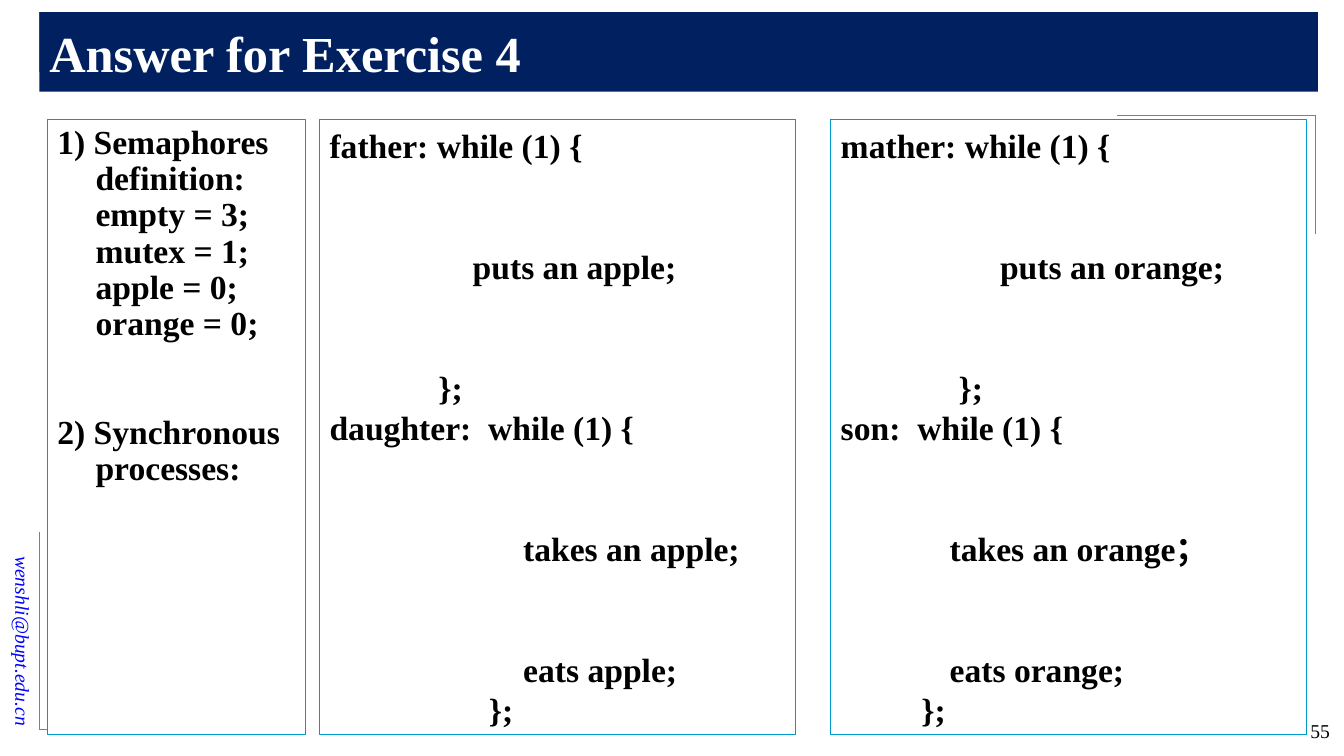
from typing import NamedTuple

from lxml import etree
from pptx import Presentation
from pptx import util as u
from pptx.dml.color import RGBColor
from pptx.enum import shapes, text
from pptx.oxml.ns import qn

NAVY = RGBColor(0x00, 0x20, 0x60)
BLUE = RGBColor(0x00, 0x00, 0xFF)
TEAL = RGBColor(0x00, 0x99, 0xCC)
GREY = RGBColor(0x80, 0x80, 0x80)
BLACK = RGBColor(0x00, 0x00, 0x00)
WHITE = RGBColor(0xFF, 0xFF, 0xFF)

FONT = "Times New Roman"
HANG = 0.38
PANEL_TOP, PANEL_HEIGHT = 1.19, 6.1


class Corner(NamedTuple):
    """Two thin lines that meet at (x, y), with signed lengths."""
    x: float
    y: float
    across: float
    down: float


class Line(NamedTuple):
    text: str
    indent: float = 0
    hanging: bool = False
    skip: int = 0  # empty lines above


class Panel(NamedTuple):
    left: float
    width: float
    pitch: float  # line pitch in points
    lines: list[Line]


def process(head: str, body: list[str], body_indent: float, end_indent: float,
            skips: tuple[int, int]) -> list[Line]:
    """One process loop: head, steps and closing brace; skips are (step, brace)."""
    steps = [Line(step, body_indent, skip=skips[0]) for step in body]
    return [Line(head), *steps, Line("};", end_indent, skip=skips[1])]


CORNERS = [
    Corner(0.39, 0.12, 1.97, 0.59),
    Corner(0.39, 7.24, 1.18, -1.96),
    Corner(13.05, 1.14, -1.97, 1.18),
]

PANELS = [
    Panel(0.47, 2.56, 25.9, [
        Line("1) Semaphores definition:", HANG, hanging=True),
        Line("empty = 3;", HANG),
        Line("mutex = 1;", HANG),
        Line("apple = 0;", HANG),
        Line("orange = 0;", HANG),
        Line("2) Synchronous processes:", HANG, hanging=True, skip=2),
    ]),
    Panel(8.24, 4.72, 28.8, [
        *process("mather: while (1) {", ["puts an orange;"], 1.58, 1.17, (2, 2)),
        *process("son:  while (1) {", ["takes an orange；", "eats orange;"],
                 1.08, 0.8, (2, 0)),
    ]),
    Panel(3.17, 4.72, 28.8, [
        *process("father: while (1) {", ["puts an apple;"], 1.42, 1.08, (2, 2)),
        *process("daughter:  while (1) {", ["takes an apple;", "eats apple;"],
                 1.92, 1.58, (2, 0)),
    ]),
]


def style(p, size: float, color: RGBColor, bold: bool = False, italic: bool = False) -> None:
    f = p.font
    f.name, f.size, f.bold, f.italic = FONT, u.Pt(size), bold, italic
    f.color.rgb = color


def add_rect(s, left: float, top: float, width: float, height: float, fill: RGBColor):
    sp = s.shapes.add_shape(shapes.MSO_SHAPE.RECTANGLE, u.Inches(left), u.Inches(top),
                            u.Inches(width), u.Inches(height))
    sp.shadow.inherit = False
    sp.fill.solid()
    sp.fill.fore_color.rgb = fill
    sp.line.fill.background()
    sp.text_frame.word_wrap = True
    return sp


def add_corner(s, c: Corner) -> None:
    for dx, dy in ((c.across, 0), (0, c.down)):
        line = s.shapes.add_connector(shapes.MSO_CONNECTOR.STRAIGHT, u.Inches(c.x), u.Inches(c.y),
                                      u.Inches(c.x + dx), u.Inches(c.y + dy))
        line.line.color.rgb = GREY
        line.line.width = u.Pt(0.5)
        etree.SubElement(line._element.spPr, qn("a:effectLst"))


def add_title(s, title: str) -> None:
    tf = add_rect(s, 0.39, 0.12, 12.68, 0.79, NAVY).text_frame
    tf.vertical_anchor = text.MSO_ANCHOR.MIDDLE
    p = tf.paragraphs[0]
    p.text = title
    p.alignment = text.PP_ALIGN.LEFT
    style(p, 36, WHITE, bold=True)


def add_label(s, label: str, left: float, top: float, width: float, height: float,
              color: RGBColor, italic: bool = False):
    """Small right-aligned text at the slide's edge."""
    sp = s.shapes.add_textbox(u.Inches(left), u.Inches(top), u.Inches(width), u.Inches(height))
    sp.text_frame.word_wrap = True
    p = sp.text_frame.paragraphs[0]
    p.text = label
    p.alignment = text.PP_ALIGN.RIGHT
    style(p, 14, color, italic=italic)
    return sp


def add_panel(s, panel: Panel) -> None:
    sp = add_rect(s, panel.left, PANEL_TOP, panel.width, PANEL_HEIGHT, WHITE)
    sp.line.color.rgb = TEAL
    sp.line.width = u.Pt(0.75)
    tf = sp.text_frame
    tf.vertical_anchor = text.MSO_ANCHOR.TOP
    for i, line in enumerate(panel.lines):
        p = tf.add_paragraph() if i else tf.paragraphs[0]
        p.text = line.text
        p.alignment = text.PP_ALIGN.LEFT
        p.line_spacing = u.Pt(panel.pitch)
        if line.skip:
            p.space_before = u.Pt(line.skip * panel.pitch)
        pPr = p._p.get_or_add_pPr()
        pPr.set("marL", str(u.Inches(line.indent)))
        pPr.set("indent", str(u.Inches(-line.indent if line.hanging else 0)))
        style(p, 24, BLACK, bold=True)


def main() -> None:
    prs = Presentation()
    prs.slide_width, prs.slide_height = u.Inches(13.33), u.Inches(7.5)
    s = prs.slides.add_slide(prs.slide_layouts[6])

    mail = add_label(s, "wenshli@bupt.edu.cn", -1.09, 5.81, 2.64, 0.34, BLUE, italic=True)
    mail.rotation = 90
    mail.text_frame.vertical_anchor = text.MSO_ANCHOR.MIDDLE
    for corner in CORNERS:
        add_corner(s, corner)
    add_title(s, "Answer for Exercise 4")
    add_label(s, "55", 12.18, 7.08, 1.11, 0.36, BLACK)
    for panel in PANELS:
        add_panel(s, panel)

    prs.save("out.pptx")


if __name__ == "__main__":
    main()
